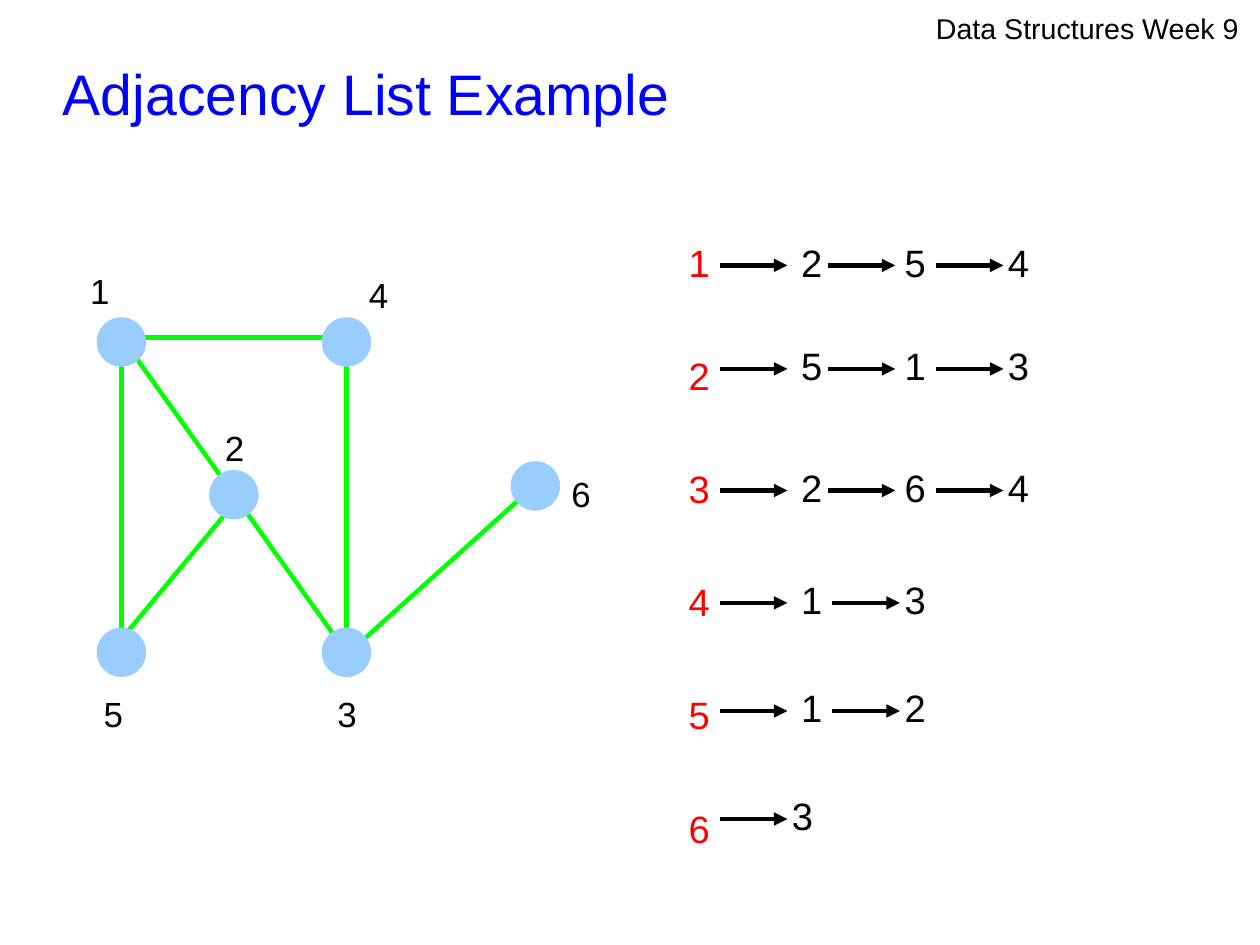
from dataclasses import dataclass

from lxml import etree
from pptx import Presentation
from pptx.dml.color import RGBColor
from pptx.enum.shapes import MSO_CONNECTOR, MSO_SHAPE
from pptx.enum.text import MSO_ANCHOR, MSO_AUTO_SIZE, PP_ALIGN
from pptx.oxml.ns import qn
from pptx.shapes.autoshape import Shape
from pptx.slide import Slide
from pptx.text.text import TextFrame
from pptx.util import Pt

STRAIGHT = MSO_CONNECTOR.STRAIGHT
OVAL = MSO_SHAPE.OVAL
TOP, MIDDLE = MSO_ANCHOR.TOP, MSO_ANCHOR.MIDDLE
LEFT = PP_ALIGN.LEFT
NO_FIT = MSO_AUTO_SIZE.NONE


@dataclass(frozen=True)
class Theme:
    font: str = "Arial"
    black: RGBColor = RGBColor(0, 0, 0)
    blue: RGBColor = RGBColor(0, 0, 255)
    red: RGBColor = RGBColor(255, 0, 0)
    green: RGBColor = RGBColor(0, 255, 0)
    sky: RGBColor = RGBColor(0x99, 0xCC, 0xFF)
    head: float = 18
    title: float = 36
    label: float = 22
    item: float = 24
    stroke: float = 2.83
    leading: float = 1.48  # line pitch as a multiple of type size


THEME = Theme()
WIDTH, HEIGHT = 793.7, 595.28
PITCH = 71.3      # between keys of the adjacency list
DISC = 28.3
ARROW = 42.5
INSET = (8.5, 5)  # side, top


@dataclass(frozen=True)
class Box:
    left: float
    top: float
    width: float
    height: float


@dataclass(frozen=True)
class Node:
    name: str
    left: float
    top: float
    label_x: float
    label_y: float


@dataclass(frozen=True)
class Edge:
    x1: float
    y1: float
    x2: float
    y2: float


@dataclass(frozen=True)
class Row:
    """Neighbours of one vertex, with the height of their arrows."""
    y: float
    items: str
    first: float = 496.1
    second: float = 521.5


NODES = [
    Node("1", 62.4, 201.3, 48.2, 158.4),
    Node("4", 204.1, 201.3, 223.9, 161.3),
    Node("6", 323.1, 292, 351.4, 286.3),
    Node("3", 204.1, 396.8, 204.1, 425.2),
    Node("5", 62.4, 396.8, 56.7, 425.2),
    Node("2", 133.2, 297.5, 133.2, 257.8),
]
EDGES = [
    Edge(76.5, 226.8, 76.5, 396.8),
    Edge(90.7, 212.5, 218.2, 212.5),
    Edge(70.6, 409.7, 155.5, 307.4),
    Edge(147.5, 311.8, 218.2, 411.1),
    Edge(218.2, 412.6, 331.9, 310.3),
    Edge(218.2, 212.5, 218.2, 396.8),
    Edge(76.5, 212.5, 147.5, 311.8),
]
ROWS = [
    Row(167.2, "254"),
    Row(232.4, "513"),
    Row(309, "264"),
    Row(379.8, "13", second=524.4),
    Row(447.9, "12", second=524.4),
    Row(515.9, "3", first=490.3),
]


def place(shape: Shape, box: Box) -> None:
    shape.left, shape.top = Pt(box.left), Pt(box.top)
    shape.width, shape.height = Pt(box.width), Pt(box.height)


def write(frame: TextFrame, lines: list[str], size: float, color: RGBColor,
          inset: tuple[float, float] = INSET, spaced: bool = True) -> None:
    frame.word_wrap = True
    frame.auto_size = NO_FIT
    frame.vertical_anchor = TOP
    frame.margin_left = frame.margin_right = Pt(inset[0])
    frame.margin_top = frame.margin_bottom = Pt(inset[1])
    frame.text = "\n".join(lines)
    for para in frame.paragraphs:
        para.alignment = LEFT
        para.space_before = Pt(0)
        if spaced:
            para.line_spacing = Pt(size * THEME.leading)
        para.font.name = THEME.font
        para.font.size = Pt(size)
        para.font.color.rgb = color


def label(slide: Slide, text: str, size: float, box: Box) -> None:
    shape = slide.shapes.add_textbox(
        Pt(box.left), Pt(box.top), Pt(box.width), Pt(box.height))
    write(shape.text_frame, [text], size, THEME.black)


def link(slide: Slide, edge: Edge, color: RGBColor, tip: bool = False) -> None:
    line = slide.shapes.add_connector(
        STRAIGHT, Pt(edge.x1), Pt(edge.y1), Pt(edge.x2), Pt(edge.y2))
    line.line.color.rgb = color
    line.line.width = Pt(THEME.stroke)
    props = line.element.spPr
    if tip:
        etree.SubElement(props.find(qn("a:ln")), qn("a:tailEnd"), type="triangle")
    etree.SubElement(props, qn("a:effectLst"))


def draw_node(slide: Slide, node: Node) -> None:
    disc = slide.shapes.add_shape(
        OVAL, Pt(node.left), Pt(node.top), Pt(DISC), Pt(DISC))
    disc.shadow.inherit = False
    disc.fill.solid()
    disc.fill.fore_color.rgb = THEME.sky
    disc.line.color.rgb = THEME.sky
    disc.line.width = Pt(THEME.stroke)
    label(slide, node.name, THEME.label,
          Box(node.label_x, node.label_y, 42.5, 42.5))


def draw_row(slide: Slide, row: Row) -> None:
    arrows = (453.5, row.second, 589.6)
    digits = (row.first, 561.3, 626.4)
    for text, start, left in zip(row.items, arrows, digits):
        link(slide, Edge(start, row.y, start + ARROW, row.y), THEME.black, True)
        label(slide, text, THEME.item, Box(left, row.y - 28.3, 28.3, 45.4))


def draw_keys(shape: Shape) -> None:
    """Fill the body placeholder with the red vertex column."""
    place(shape, Box(425.2, 138.9, 42.5, 401.8))
    write(shape.text_frame, list("123456"), THEME.item, THEME.red)
    for para in shape.text_frame.paragraphs:
        para.space_after = Pt(PITCH - THEME.item * THEME.leading)
        props = para._p.get_or_add_pPr()
        props.set("marL", "0")
        props.set("indent", "0")
        etree.SubElement(props, qn("a:buNone"))
        props.append(props.find(qn("a:defRPr")))


def main() -> None:
    deck = Presentation()
    deck.slide_width, deck.slide_height = Pt(WIDTH), Pt(HEIGHT)
    slide = deck.slides.add_slide(deck.slide_layouts[1])

    title = slide.shapes.title
    place(title, Box(39.6, 23.8, 712, 59))
    write(title.text_frame, ["Adjacency List Example"], THEME.title,
          THEME.blue, (0, 0))
    title.text_frame.vertical_anchor = MIDDLE
    draw_keys(slide.placeholders[1])

    head = slide.shapes.add_textbox(Pt(589.6), Pt(6.9), Pt(194.4), Pt(23))
    write(head.text_frame, ["Data Structures Week 9"], THEME.head,
          THEME.black, (0, 0), False)

    for edge in EDGES:
        link(slide, edge, THEME.green)
    for node in NODES:
        draw_node(slide, node)
    for row in ROWS:
        draw_row(slide, row)
    deck.save("out.pptx")


if __name__ == "__main__":
    main()
